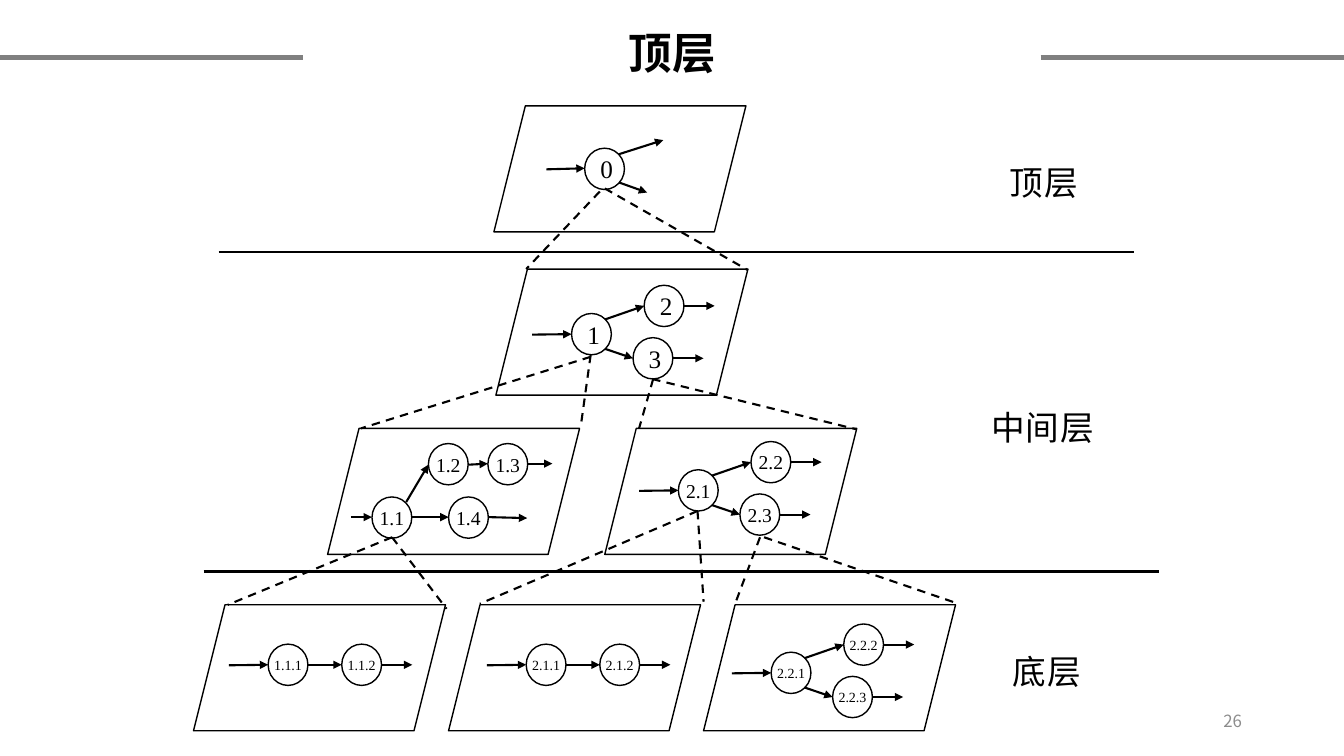
from dataclasses import dataclass

from pptx import Presentation
from pptx.dml.color import RGBColor
from pptx.enum.dml import MSO_LINE
from pptx.enum.shapes import MSO_CONNECTOR, MSO_SHAPE
from pptx.enum.text import MSO_ANCHOR, MSO_AUTO_SIZE, PP_ALIGN
from pptx.oxml.ns import qn
from pptx.util import Inches, Pt

STRAIGHT = MSO_CONNECTOR.STRAIGHT
SHEET, CIRCLE = MSO_SHAPE.PARALLELOGRAM, MSO_SHAPE.FLOWCHART_CONNECTOR
DASH, MIDDLE, TOP = MSO_LINE.DASH, MSO_ANCHOR.MIDDLE, MSO_ANCHOR.TOP
LEFT, CENTER, RIGHT = PP_ALIGN.LEFT, PP_ALIGN.CENTER, PP_ALIGN.RIGHT
FIT = MSO_AUTO_SIZE.SHAPE_TO_FIT_TEXT

# Grid of tenth-inch cells
COLS, ROWS = 133.33, 75
SHEET_W, SHEET_H = 25, 12.5
NODE_W, NODE_H = 3.95, 4.1
MID = NODE_H / 2
BLACK, WHITE, GREY, PALE = "000000", "FFFFFF", "808080", "8C8C8C"
SANS, SERIF, CJK = "Arial", "Times New Roman", "Noto Sans CJK SC"


@dataclass
class Node:
    label: str
    x: float
    y: float
    size: int


@dataclass
class Line:
    x1: float
    y1: float
    x2: float
    y2: float


@dataclass
class Label:
    text: str
    x: float
    y: float
    w: float


def cell(n: float) -> int:
    return Inches(n / 10)


def color(hex_code: str) -> RGBColor:
    return RGBColor.from_string(hex_code)


prs = Presentation()
prs.slide_width, prs.slide_height = cell(COLS), cell(ROWS)
s = prs.slides.add_slide(prs.slide_layouts[6])


def add_line(line: Line, width: float = 1.5, stroke: str = BLACK,
             dashed: bool = False, arrow: bool = False) -> None:
    c = s.shapes.add_connector(STRAIGHT, cell(line.x1), cell(line.y1),
                               cell(line.x2), cell(line.y2))
    c.line.width = Pt(width)
    c.line.color.rgb = color(stroke)
    if dashed:
        c.line.dash_style = DASH
    if arrow:
        ln = c.line._get_or_add_ln()
        ln.append(ln.makeelement(qn("a:tailEnd"), {"type": "triangle"}))
    sp_pr = c._element.spPr
    sp_pr.append(sp_pr.makeelement(qn("a:effectLst"), {}))


def add_arrow(x1: float, y1: float, x2: float, y2: float) -> None:
    add_line(Line(x1, y1, x2, y2), arrow=True)


def add_outline(preset: int, x: float, y: float, w: float, h: float):
    sp = s.shapes.add_shape(preset, cell(x), cell(y), cell(w), cell(h))
    sp.shadow.inherit = False
    sp.fill.solid()
    sp.fill.fore_color.rgb = color(WHITE)
    sp.line.color.rgb = color(BLACK)
    sp.line.width = Pt(1)
    return sp


def write(tf, text: str, size: float, font: str, align: int,
          ink: str = BLACK, bold: bool = False, spacing: int = 0):
    tf.text = text
    p = tf.paragraphs[0]
    p.alignment = align
    r = p.runs[0]
    r.font.size, r.font.name, r.font.bold = Pt(size), font, bold
    r.font.color.rgb = color(ink)
    r_pr = r.font._element
    r_pr.append(r_pr.makeelement(qn("a:ea"), {"typeface": font}))
    r_pr.set("lang", "zh-CN")
    if spacing:
        r_pr.set("spc", str(spacing))
    return p


def add_text_box(x: float, y: float, w: float, h: float, anchor: int):
    tf = s.shapes.add_textbox(cell(x), cell(y), cell(w), cell(h)).text_frame
    tf.word_wrap = True
    tf.vertical_anchor = anchor
    return tf


def add_node(node: Node) -> None:
    tf = add_outline(CIRCLE, node.x, node.y, NODE_W, NODE_H).text_frame
    tf.vertical_anchor = MIDDLE
    if node.size < 18:
        tf.margin_left = tf.margin_right = tf.margin_top = tf.margin_bottom = 0
    write(tf, node.label, node.size, SERIF, CENTER)


def add_fork(x: float, y: float, labels: list[str], size: int) -> None:
    """One node that feeds two more nodes, each with an outgoing arrow."""
    add_node(Node(labels[0], x, y, size))
    add_arrow(x - 3.9, y + 2.1, x, y + MID)
    for label, dx, dy, start in zip(labels[1:], (7.2, 6.1), (-2.8, 2.4), (0.6, 3.5)):
        add_arrow(x + 3.3, y + start, x + dx, y + dy + MID)
        add_node(Node(label, x + dx, y + dy, size))
        add_arrow(x + dx + NODE_W, y + dy + MID, x + dx + 7, y + dy + MID)


def add_chain(x: float, y: float, labels: list[str], size: int) -> None:
    """Nodes in a row, joined by arrows."""
    step = 7.3
    add_arrow(x - 3.9, y + 2.1, x, y + MID)
    for i, label in enumerate(labels):
        left = x + i * step
        reach = step if i < len(labels) - 1 else 7
        add_node(Node(label, left, y, size))
        add_arrow(left + NODE_W, y + MID, left + reach, y + MID)


# Title and side bars
title = add_text_box(12.9, -0.6, 107.6, 12.2, MIDDLE)
p = write(title, "顶层", 31, CJK, CENTER, bold=True)
p.line_spacing, p.space_after = 0.9, Pt(12)
for bar_x in (0, COLS - 30.1):
    add_line(Line(bar_x, 5.7, bar_x + 30.1, 5.7), 3, GREY)

# Level dividers
for divider in (Line(21.7, 25, 112.5, 25), Line(20.2, 56.7, 115, 56.7)):
    add_line(divider)

# Sheets, level by level
SHEETS = {10.5: [49], 26.7: [49.2], 42.5: [32.5, 60], 60: [19.2, 44.5, 69.8]}
for top, lefts in SHEETS.items():
    for left in lefts:
        add_outline(SHEET, left, top, SHEET_W, SHEET_H)

# Top sheet
add_node(Node("0", 58, 14.7, 18))
for flow in (Line(54.2, 16.8, 58, 16.7), Line(61.4, 15.3, 65.8, 13.9),
             Line(61.4, 18.1, 64.2, 19.1)):
    add_line(flow, arrow=True)

# Sheet of process 1
for node in (Node("1.1", 36.9, 49.3, 14), Node("1.2", 42.5, 44, 14),
             Node("1.3", 48.4, 44, 14), Node("1.4", 44.5, 49.3, 14)):
    add_node(node)
for flow in (Line(34.8, 51.3, 36.9, 51.3), Line(40.3, 49.8, 42.5, 46.1),
             Line(40.8, 51.3, 44.5, 51.3), Line(46.5, 46.1, 48.4, 46),
             Line(48.4, 51.3, 52.3, 51.4), Line(52.3, 46, 54.8, 46)):
    add_line(flow, arrow=True)

# Remaining sheets
add_fork(56.7, 31.1, ["1", "2", "3"], 18)
add_fork(67.3, 46.6, ["2.1", "2.2", "2.3"], 14)
add_fork(76.5, 64.7, ["2.2.1", "2.2.2", "2.2.3"], 10)
add_chain(26.6, 63.9, ["1.1.1", "1.1.2"], 10)
add_chain(52.2, 63.9, ["2.1.1", "2.1.2"], 10)

# Dashed links from a process to its sheet
LINKS = [
    Line(59.5, 19, 52.2, 26.7), Line(60, 18.7, 74.2, 26.8),
    Line(58.6, 35.4, 35.8, 42.5), Line(58.6, 35.2, 57.6, 42.4),
    Line(64.8, 37.6, 63.4, 42.5), Line(64.7, 37.6, 85, 42.6),
    Line(38.9, 53.3, 22.6, 60), Line(38.9, 53.3, 44.3, 60.4),
    Line(69.2, 50.7, 47.6, 59.9), Line(69.2, 50.7, 69.8, 59.7),
    Line(75.4, 53.3, 73, 59.7), Line(75.8, 53.3, 94.8, 59.8),
]
for link in LINKS:
    add_line(link, dashed=True)

# Level names
for level in (Label("顶层", 99.2, 13.6, 8.9), Label("中间层", 97.4, 37.9, 12.3),
              Label("底层", 99.5, 62.1, 8.9)):
    tf = add_text_box(level.x, level.y, level.w, 7.1, TOP)
    tf.word_wrap, tf.auto_size = False, FIT
    p = write(tf, level.text, 24, SANS, LEFT, spacing=50)
    p.line_spacing = 1.5

# Page number
write(add_text_box(94.2, 69.5, 30, 4, MIDDLE), "26", 12, CJK, RIGHT, PALE)

prs.save("out.pptx")
